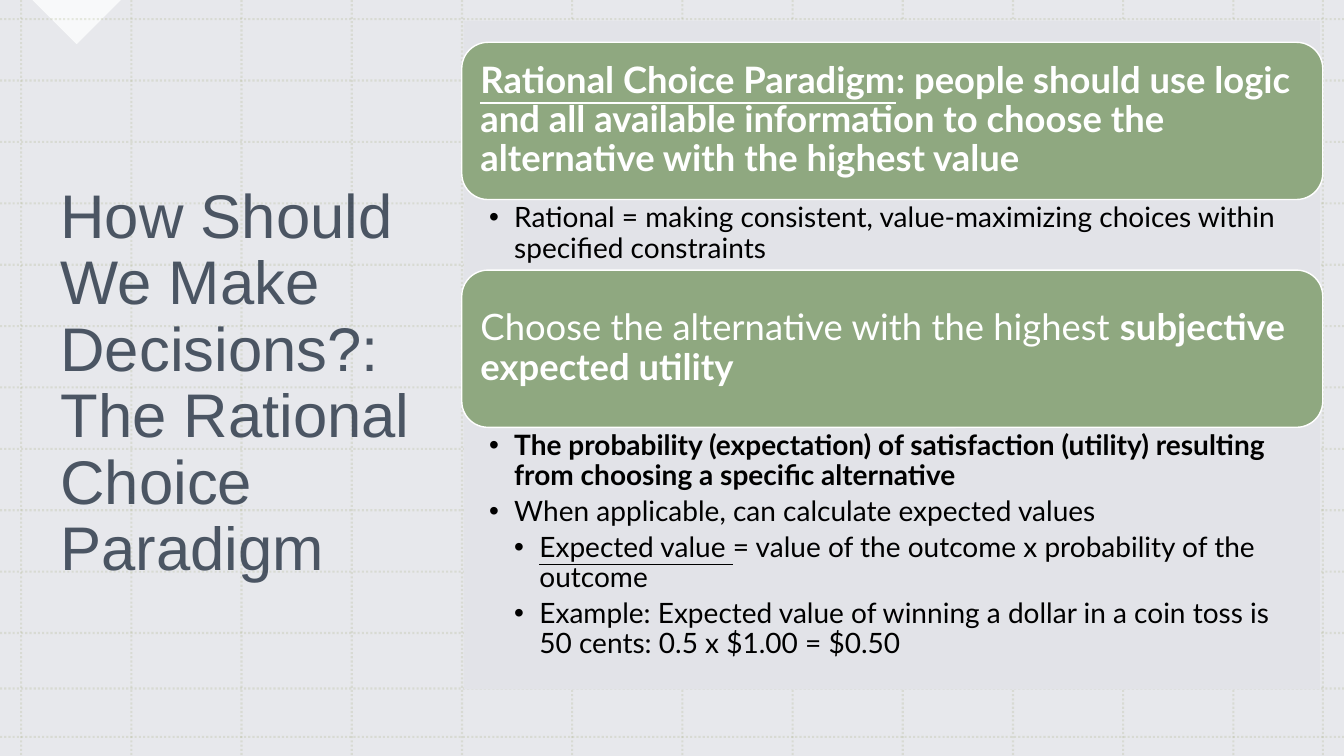
from lxml.etree import SubElement
from pptx import Presentation
from pptx.dml.color import RGBColor
from pptx.enum.dml import MSO_LINE_DASH_STYLE as Dash
from pptx.enum.shapes import MSO_CONNECTOR as Connector, MSO_SHAPE as Preset
from pptx.enum.text import MSO_ANCHOR as Anchor, MSO_AUTO_SIZE as AutoSize, PP_ALIGN as Align
from pptx.oxml.ns import qn
from pptx.util import Inches, Pt

THEME = {
    "white": "FFFFFF", "wash": "E2E3E8", "grid": "9CA671", "box": "8FA880",
    "title": "243141", "text": "000000",
    "title_font": "Arial", "body_font": "Lato",
    "title_size": 44, "box_size": 26, "list_size": 20,
}


def paint(fill, color, opacity=100):
    """Give a fill a solid theme colour, with opacity in percent."""
    fill.solid()
    fill.fore_color.rgb = RGBColor.from_string(THEME[color])
    if opacity < 100:
        # The colour element is the only child of the solid fill
        color_element = fill._xPr.find(qn("a:solidFill"))[0]
        SubElement(color_element, qn("a:alpha"), val=str(opacity * 1000))


def write(frame, paragraphs, role, color, font, opacity=100):
    """Write (level, runs) paragraphs; each run is (text, font attributes)."""
    frame.word_wrap = True
    frame.auto_size = AutoSize.NONE
    size = THEME[role + "_size"]
    after = {"title": 0, "box": 0.35, "list": 0.2}[role]
    for index, (level, runs) in enumerate(paragraphs):
        paragraph = frame.add_paragraph() if index else frame.paragraphs[0]
        layout = {"level": level, "alignment": Align.LEFT, "line_spacing": 0.9,
                  "space_before": Pt(0), "space_after": Pt(size * after)}
        for name, value in layout.items():
            setattr(paragraph, name, value)
        if role == "list":
            properties = paragraph._p.get_or_add_pPr()
            properties.set("marL", str(Inches(0.25 * level)))
            properties.set("indent", str(Inches(-0.25)))
            SubElement(properties, qn("a:buFont"), typeface="Arial")
            SubElement(properties, qn("a:buChar"), char="•")
        for text, emphasis in runs:
            run = paragraph.add_run()
            run.text = text
            look = {"name": THEME[font], "size": Pt(size), "bold": False, **emphasis}
            for name, value in look.items():
                setattr(run.font, name, value)
            paint(run.font.fill, color, opacity)


BOLD = {"bold": True}
UNDERLINED = {"underline": True}

presentation = Presentation()
presentation.slide_width = Inches(13.33)
presentation.slide_height = Inches(7.5)
slide = presentation.slides.add_slide(presentation.slide_layouts.get_by_name("Two Content"))
shapes = slide.shapes
title, *lists = slide.placeholders
paint(slide.background.fill, "white")

# Backdrop: tinted wash, corner triangle, dotted grid, content panel
for preset, bounds, rotation, color, opacity in [
    (Preset.RECTANGLE, (0, 0, 13.33, 7.5), 0, "wash", 80),
    (Preset.RIGHT_TRIANGLE, (0.45, -0.31, 0.62, 0.62), 315, "white", 75),
    (Preset.RECTANGLE, (4.6, 0.21, 8.49, 6.63), 0, "wash", 100),
]:
    shape = shapes.add_shape(preset, *map(Inches, bounds))
    shape.rotation = rotation
    shape.shadow.inherit = False
    shape.line.fill.background()
    paint(shape.fill, color, opacity)
panel = shape

columns = [0.21 + 1.093 * step for step in range(12)] + [13.12]
rows = [0.19 + 0.609 * step for step in range(11)] + [6.83, 7.31]
grid = [(x, 0, x, 7.5) for x in columns] + [(0, y, 13.33, y) for y in rows]
for ends in grid:
    line = shapes.add_connector(Connector.STRAIGHT, *map(Inches, ends))
    line.line.width = Pt(1.5)
    line.line.dash_style = Dash.ROUND_DOT
    paint(line.line.fill, "grid", 20)
    SubElement(line.element.spPr, qn("a:effectLst"))

# Bring the panel and then the title in front of the grid
for shape in (panel, title):
    shapes.element.append(shape.element)
title.left, title.top, title.width, title.height = map(Inches, (0.5, 0.79, 4.07, 6.05))
title.text_frame.vertical_anchor = Anchor.MIDDLE
write(title.text_frame,
      [(0, [("How Should We Make Decisions?: The Rational Choice Paradigm", {})])],
      "title", "title", "title_font", 80)

sections = [
    (0.42, 0.69,
     [("Rational Choice Paradigm", BOLD | UNDERLINED),
      (": people should use logic and all available information to choose the "
       "alternative with the highest value", BOLD)],
     [(1, [("Rational = making consistent, value-maximizing choices within "
            "specified constraints", {})])]),
    (2.68, 2.41,
     [("Choose the alternative with the highest ", {}),
      ("subjective expected utility", BOLD)],
     [(1, [("The probability (expectation) of satisfaction (utility) resulting "
            "from choosing a specific alternative", BOLD)]),
      (1, [("When applicable, can calculate expected values", {})]),
      (2, [("Expected value ", UNDERLINED),
           ("= value of the outcome x probability of the outcome", {})]),
      (2, [("Example: Expected value of winning a dollar in a coin toss is "
            "50 cents: 0.5 x $1.00 = $0.50", {})])]),
]
left, width, box_height = 4.58, 8.54, 1.56
for (top, list_height, heading, points), body in zip(sections, lists):
    box = shapes.add_shape(Preset.ROUNDED_RECTANGLE,
                           *map(Inches, (left, top, width, box_height)))
    box.shadow.inherit = False
    box.line.width = Pt(1)
    paint(box.line.fill, "white")
    paint(box.fill, "box")

    shapes.element.append(body.element)
    body.left, body.top, body.width, body.height = map(
        Inches, (left, top + box_height, width, list_height))

    for frame, anchor, insets in [
        (box.text_frame, Anchor.MIDDLE, (0.11, 0.11, 0.11, 0.11)),
        (body.text_frame, Anchor.TOP, (0.27, 0.04, 0.2, 0.04)),
    ]:
        frame.vertical_anchor = anchor
        for side, inset in zip(("left", "top", "right", "bottom"), insets):
            setattr(frame, "margin_" + side, Inches(inset))
    write(box.text_frame, [(0, heading)], "box", "white", "body_font")
    write(body.text_frame, points, "list", "text", "body_font")

presentation.save("out.pptx")
